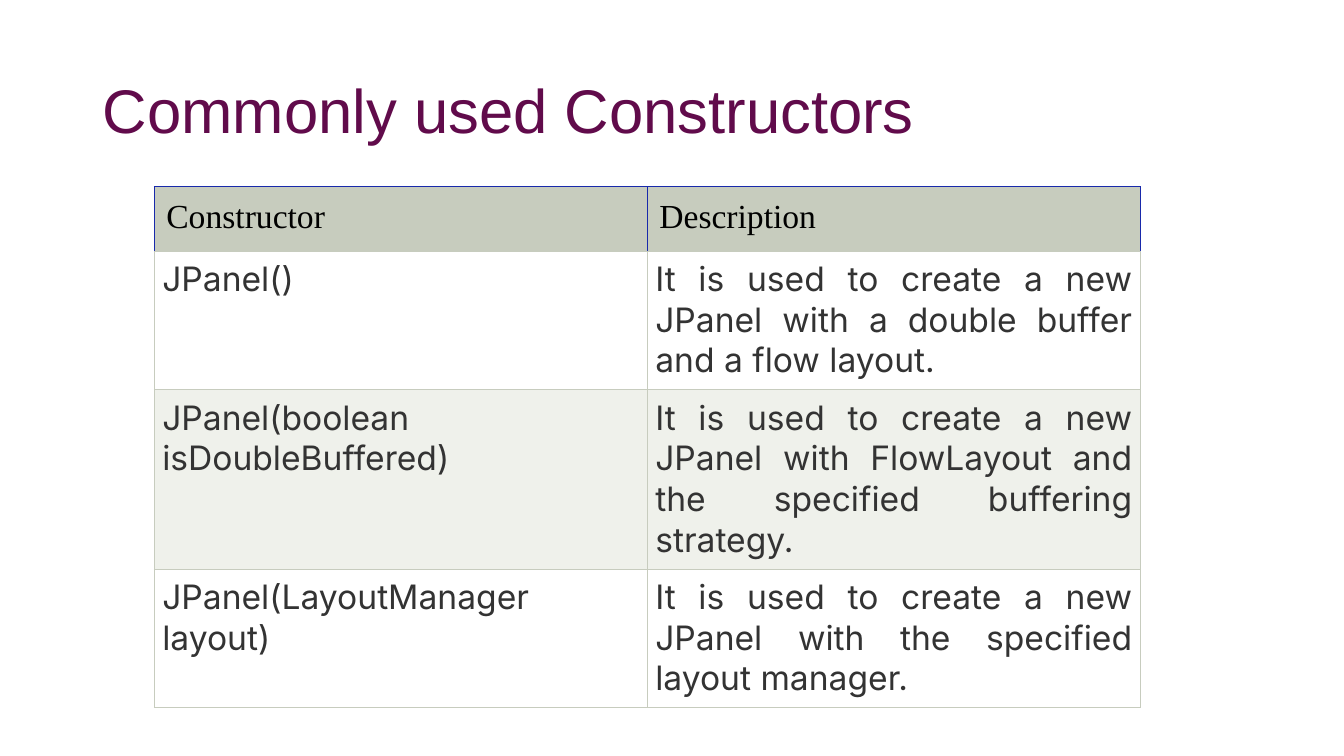
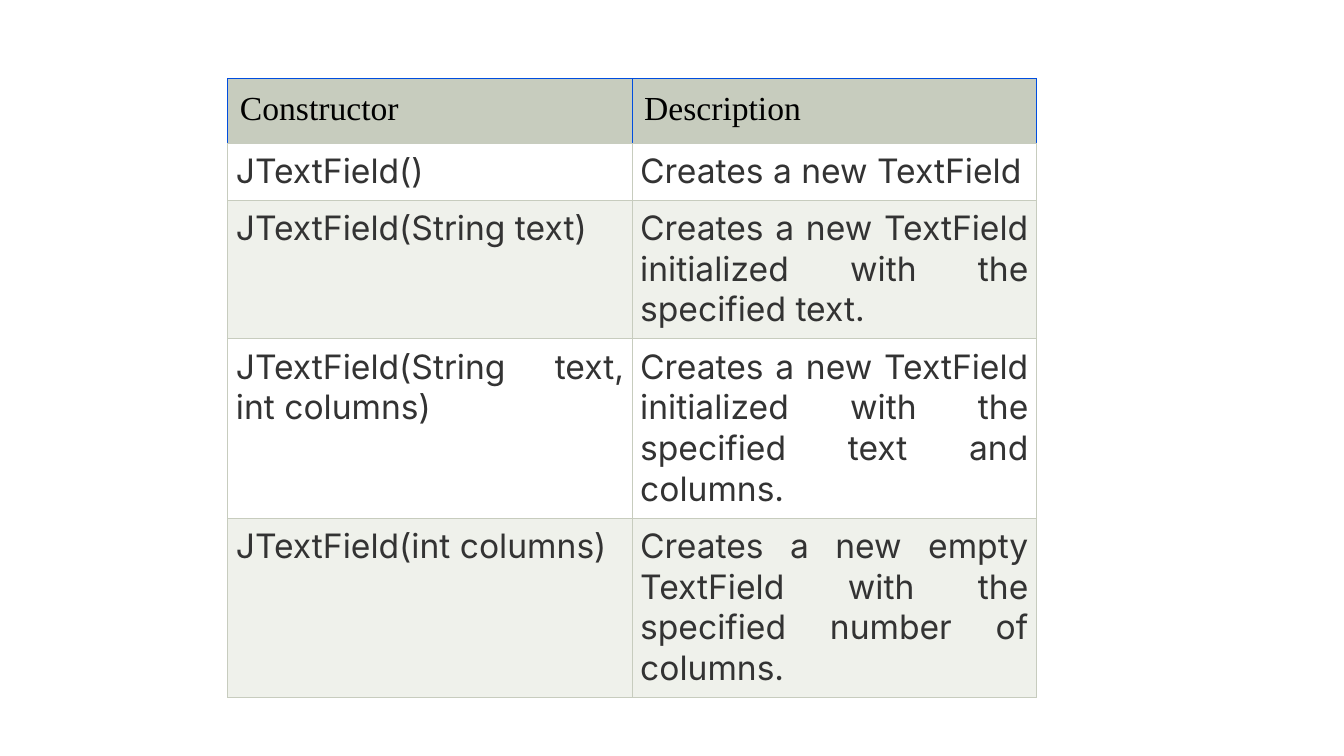
from lxml.etree import SubElement
from pptx import Presentation
from pptx.dml.color import RGBColor
from pptx.enum.text import MSO_ANCHOR, PP_ALIGN
from pptx.oxml import parse_xml
from pptx.oxml.ns import nsdecls, qn
from pptx.util import Inches, Pt

PLUM = RGBColor(0x61, 0x0B, 0x4B)
BLACK = RGBColor(0x00, 0x00, 0x00)
CHARCOAL = RGBColor(0x33, 0x33, 0x33)
WHITE = RGBColor(0xFF, 0xFF, 0xFF)
SAGE = RGBColor(0xC7, 0xCC, 0xBE)
PALE_SAGE = RGBColor(0xEF, 0xF1, 0xEB)
NAVY = RGBColor(0x18, 0x29, 0xAB)
BLUE = RGBColor(0x00, 0x4D, 0xDF)

TITLE_FONT = "Arial"
HEADER_FONT = "Times New Roman"
BODY_FONT = "Inter"
HEADER_INSET = 0.12
BODY_INSET = 0.08
HEADER_HEIGHT = 0.61
LINE_HEIGHT = 0.405
HEADINGS = ("Constructor", "Description")

PANEL_ROWS = [
    ("JPanel()",
     "It is used to create a new JPanel with a double buffer and a flow layout.", 3),
    ("JPanel(boolean isDoubleBuffered)",
     "It is used to create a new JPanel with FlowLayout and the specified buffering strategy.", 4),
    ("JPanel(LayoutManager layout)",
     "It is used to create a new JPanel with the specified layout manager.", 3),
]
TEXT_FIELD_ROWS = [
    ("JTextField()", "Creates a new TextField", 1),
    ("JTextField(String text)",
     "Creates a new TextField initialized with the specified text.", 3),
    ("JTextField(String text, int columns)",
     "Creates a new TextField initialized with the specified text and columns.", 4),
    ("JTextField(int columns)",
     "Creates a new empty TextField with the specified number of columns.", 4),
]


def set_font(paragraph, name, size, color):
    paragraph.font.name = name
    paragraph.font.size = Pt(size)
    paragraph.font.color.rgb = color


def set_borders(cell, edge_color):
    properties = cell._tc.get_or_add_tcPr()
    colors = {"lnL": edge_color, "lnR": edge_color, "lnT": edge_color, "lnB": SAGE}
    for position, (side, color) in enumerate(colors.items()):
        line = parse_xml(f'<a:{side} {nsdecls("a")} w="{Pt(0.75)}"/>')
        fill = SubElement(line, qn("a:solidFill"))
        SubElement(fill, qn("a:srgbClr"), val=str(color))
        properties.insert(position, line)


def fill_cell(cell, text, font_name, font_color, fill_color, edge_color, inset, alignment):
    cell.text = text
    cell.margin_left = cell.margin_right = Inches(inset)
    cell.margin_top = cell.margin_bottom = Inches(inset)
    paragraph = cell.text_frame.paragraphs[0]
    paragraph.alignment = alignment
    set_font(paragraph, font_name, 24, font_color)
    cell.fill.solid()
    cell.fill.fore_color.rgb = fill_color
    set_borders(cell, edge_color)


def add_title(slide, text, left, top, width, height):
    shape = slide.shapes.add_textbox(Inches(left), Inches(top), Inches(width), Inches(height))
    frame = shape.text_frame
    frame.word_wrap = True
    frame.vertical_anchor = MSO_ANCHOR.MIDDLE
    paragraph = frame.paragraphs[0]
    paragraph.text = text
    paragraph.line_spacing = 0.9
    set_font(paragraph, TITLE_FONT, 44, PLUM)


def add_constructor_table(slide, rows, left, top, width, header_edge):
    heights = [HEADER_HEIGHT]
    heights += [lines * LINE_HEIGHT + 2 * BODY_INSET for *_, lines in rows]
    table = slide.shapes.add_table(
        len(heights), len(HEADINGS),
        Inches(left), Inches(top), Inches(width), Inches(sum(heights))).table
    for column in table.columns:
        column.width = Inches(width / len(HEADINGS))
    for row, height in zip(table.rows, heights):
        row.height = Inches(height)
    for cell, heading in zip(table.rows[0].cells, HEADINGS):
        fill_cell(cell, heading, HEADER_FONT, BLACK, SAGE, header_edge,
                  HEADER_INSET, PP_ALIGN.LEFT)
    for index, (constructor, description, _) in enumerate(rows, start=1):
        band = WHITE if index % 2 else PALE_SAGE
        for cell, text in zip(table.rows[index].cells, (constructor, description)):
            fill_cell(cell, text, BODY_FONT, CHARCOAL, band, SAGE,
                      BODY_INSET, PP_ALIGN.JUSTIFY)


def add_blank_slide(presentation):
    slide = presentation.slides.add_slide(presentation.slide_layouts[6])
    slide.background.fill.solid()
    slide.background.fill.fore_color.rgb = WHITE
    return slide


def main():
    presentation = Presentation()
    presentation.slide_width = Inches(13.33)
    presentation.slide_height = Inches(7.5)

    panel_slide = add_blank_slide(presentation)
    add_title(panel_slide, "Commonly used Constructors", 0.92, 0.4, 11.5, 1.45)
    add_constructor_table(panel_slide, PANEL_ROWS, 1.53, 1.85, 9.78, NAVY)

    text_field_slide = add_blank_slide(presentation)
    add_constructor_table(text_field_slide, TEXT_FIELD_ROWS, 2.26, 0.78, 8.02, BLUE)

    presentation.save("out.pptx")


if __name__ == "__main__":
    main()
